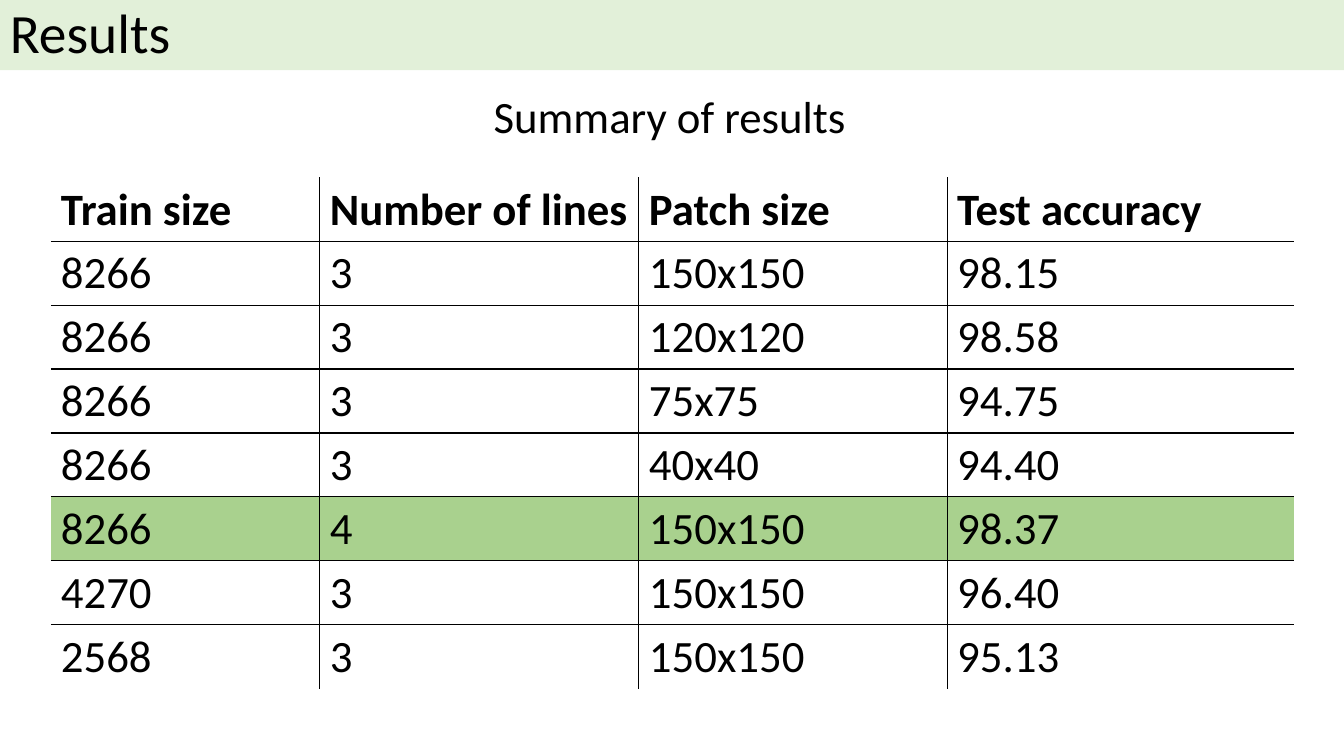
import pptx
import pptx.dml.color
import pptx.enum.shapes
import pptx.enum.text
import pptx.oxml.ns
import pptx.util
from lxml import etree

Cm = pptx.util.Cm
Pt = pptx.util.Pt
BLACK = pptx.dml.color.RGBColor(0x00, 0x00, 0x00)
PALE_GREEN = pptx.dml.color.RGBColor(0xE2, 0xF0, 0xD9)
HIGHLIGHT_GREEN = pptx.dml.color.RGBColor(0xA9, 0xD1, 0x8E)

COLUMN_WIDTHS = [6.78, 8.04, 7.77, 8.73]
ROW_HEIGHT = 1.61
RESULTS = [
    ["Train size", "Number of lines", "Patch size", "Test accuracy"],
    ["8266", "3", "150x150", "98.15"],
    ["8266", "3", "120x120", "98.58"],
    ["8266", "3", "75x75", "94.75"],
    ["8266", "3", "40x40", "94.40"],
    ["8266", "4", "150x150", "98.37"],
    ["4270", "3", "150x150", "96.40"],
    ["2568", "3", "150x150", "95.13"],
]
HIGHLIGHTED_ROW = 5


def write(frame, text, size, bold=False):
    frame.text = text
    font = frame.paragraphs[0].runs[0].font
    font.name = "Calibri"
    font.size = Pt(size)
    font.bold = bold
    font.color.rgb = BLACK


def set_border(cell, side, visible):
    """Draw or hide one side of a cell: L, R, T or B, called in that order."""
    qn = pptx.oxml.ns.qn
    properties = cell._tc.get_or_add_tcPr()
    line = etree.SubElement(properties, qn(f"a:ln{side}"), w=str(Pt(1)))
    if visible:
        fill = etree.SubElement(line, qn("a:solidFill"))
        etree.SubElement(fill, qn("a:srgbClr"), val=str(BLACK))
    else:
        etree.SubElement(line, qn("a:noFill"))


deck = pptx.Presentation()
deck.slide_width = Cm(33.87)
deck.slide_height = Cm(19.05)
page = deck.slides.add_slide(deck.slide_layouts[6])

# Title band
band = page.shapes.add_shape(
    pptx.enum.shapes.MSO_SHAPE.RECTANGLE, 0, 0, deck.slide_width, Cm(1.77))
band.shadow.inherit = False
band.fill.solid()
band.fill.fore_color.rgb = PALE_GREEN
band.line.fill.background()
write(band.text_frame, "Results", 39.6)
band.text_frame.vertical_anchor = pptx.enum.text.MSO_ANCHOR.MIDDLE
title = band.text_frame.paragraphs[0]
title.alignment = pptx.enum.text.PP_ALIGN.LEFT
title.line_spacing = 0.9

# Table caption
caption = page.shapes.add_textbox(Cm(12.19), Cm(2.11), Cm(9.47), Cm(1.62))
write(caption.text_frame, "Summary of results", 32)
caption.text_frame.word_wrap = False
caption.text_frame.auto_size = pptx.enum.text.MSO_AUTO_SIZE.SHAPE_TO_FIT_TEXT

# Results table with inner rules only
last_row = len(RESULTS) - 1
last_column = len(COLUMN_WIDTHS) - 1
table = page.shapes.add_table(
    len(RESULTS), len(COLUMN_WIDTHS), Cm(1.28), Cm(4.47),
    Cm(sum(COLUMN_WIDTHS)), Cm(ROW_HEIGHT * len(RESULTS))).table
table.first_row = False
table.horz_banding = False
for column, width in zip(table.columns, COLUMN_WIDTHS):
    column.width = Cm(width)
for r, values in enumerate(RESULTS):
    table.rows[r].height = Cm(ROW_HEIGHT)
    for c, value in enumerate(values):
        cell = table.cell(r, c)
        write(cell.text_frame, value, 32, bold=r == 0)
        set_border(cell, "L", c > 0)
        set_border(cell, "R", c < last_column)
        set_border(cell, "T", r > 0)
        set_border(cell, "B", r < last_row)
        if r == HIGHLIGHTED_ROW:
            cell.fill.solid()
            cell.fill.fore_color.rgb = HIGHLIGHT_GREEN
        else:
            cell.fill.background()

deck.save("out.pptx")
